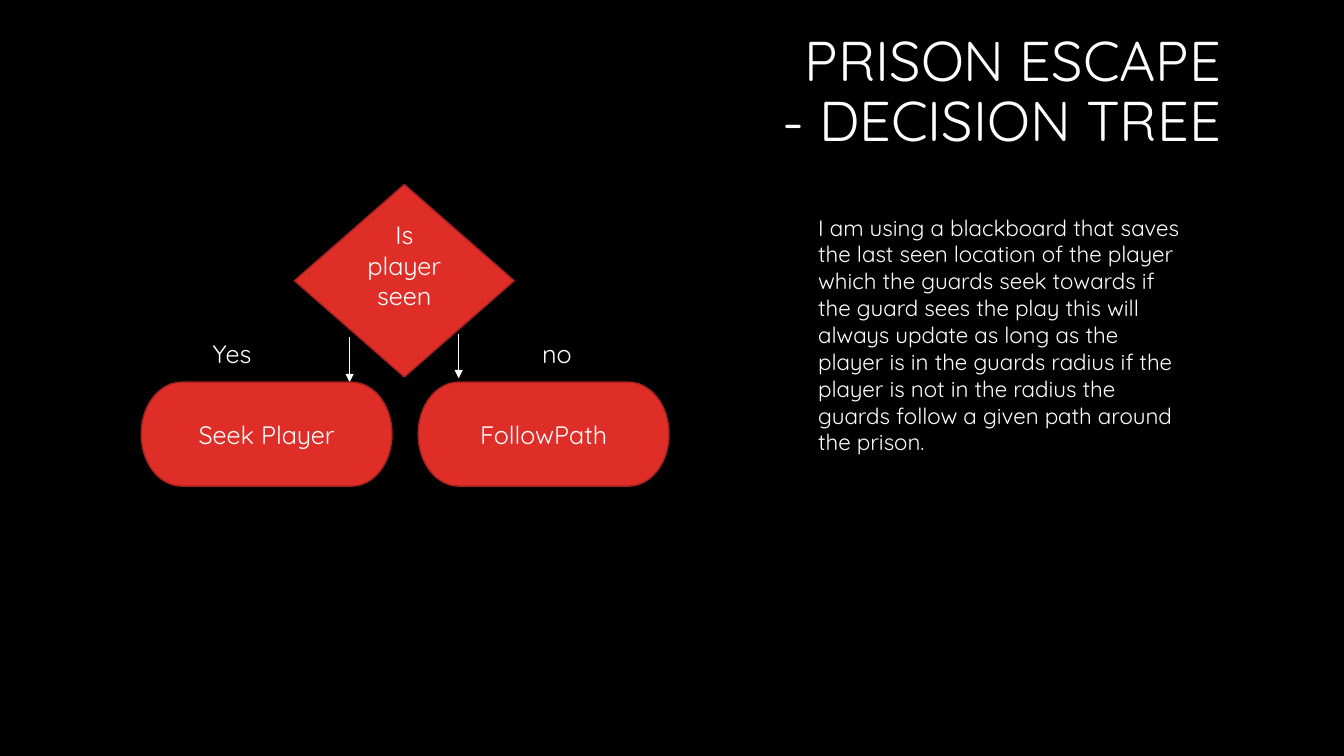
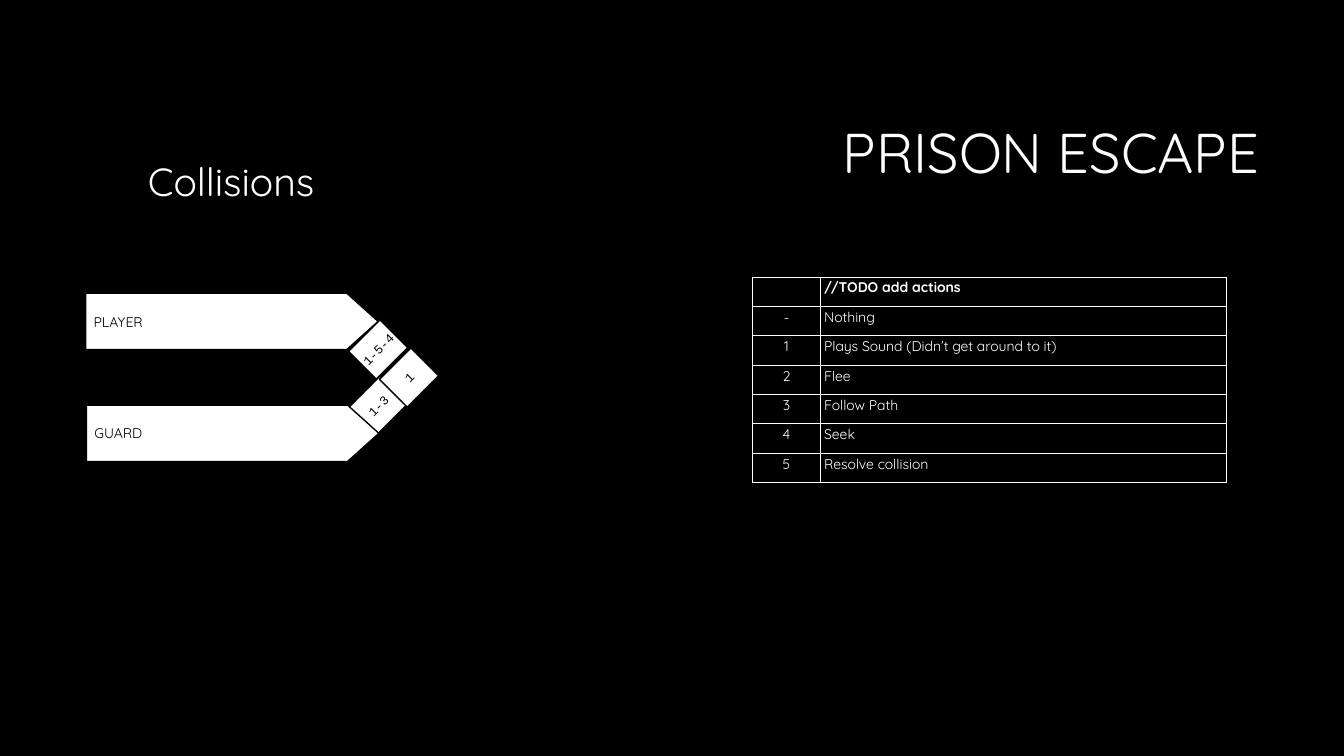
import pptx
import pptx.util
import pptx.dml.color
import pptx.enum.shapes
import pptx.enum.text
import pptx.oxml.ns
from dataclasses import dataclass
from lxml import etree

Cm = pptx.util.Cm
Pt = pptx.util.Pt
Kind = pptx.enum.shapes.MSO_SHAPE
Align = pptx.enum.text.PP_ALIGN
Anchor = pptx.enum.text.MSO_ANCHOR
qn = pptx.oxml.ns.qn


@dataclass(frozen=True)
class Theme:
    black: str = "000000"
    white: str = "FFFFFF"
    red: str = "DF2E28"
    edge: str = "A5221E"
    font: str = "Quicksand"
    mono: str = "Courier New"
    title: int = 40
    head: int = 28
    node: int = 18
    body: int = 16
    small: int = 10
    tiny: int = 9
    thin: float = 0.75
    line: float = 1


def color(code):
    return pptx.dml.color.RGBColor.from_string(code)


class Deck:
    def __init__(self, theme):
        self.theme = theme
        self.show = pptx.Presentation()
        self.show.slide_width = Cm(33.87)
        self.show.slide_height = Cm(19.05)
        self.slide = None

    def start(self):
        self.slide = self.show.slides.add_slide(self.show.slide_layouts[6])
        fill = self.slide.background.fill
        fill.solid()
        fill.fore_color.rgb = color(self.theme.black)

    def label(self, frame, words, size, tint=None, font=None, align=Align.LEFT, bold=False):
        frame.text = words
        for para in frame.paragraphs:
            para.alignment = align
            for run in para.runs:
                run.font.size = Pt(size)
                run.font.name = font or self.theme.font
                run.font.bold = bold
                run.font.color.rgb = color(tint or self.theme.white)

    def inset(self, frame, left, top, right, low):
        frame.margin_left, frame.margin_top = Cm(left), Cm(top)
        frame.margin_right, frame.margin_bottom = Cm(right), Cm(low)

    def text(self, words, x, y, w, h, size, align=Align.LEFT):
        frame = self.slide.shapes.add_textbox(Cm(x), Cm(y), Cm(w), Cm(h)).text_frame
        frame.word_wrap = True
        self.label(frame, words, size, align=align)
        return frame

    def title(self, words, x, y):
        frame = self.text(words, x, y, 23.93, 3.58, self.theme.title, Align.RIGHT)
        frame.vertical_anchor = Anchor.MIDDLE
        frame.paragraphs[0].line_spacing = 0.9

    def paint(self, shape, fill, edge):
        shape.shadow.inherit = False
        shape.fill.solid()
        shape.fill.fore_color.rgb = color(fill)
        shape.line.color.rgb = color(edge)
        shape.line.width = Pt(self.theme.line)
        shape.text_frame.word_wrap = True
        shape.text_frame.vertical_anchor = Anchor.MIDDLE

    def node(self, kind, words, x, y, w, h, low=0.13):
        shape = self.slide.shapes.add_shape(kind, Cm(x), Cm(y), Cm(w), Cm(h))
        self.paint(shape, self.theme.red, self.theme.edge)
        shape.text_frame.margin_bottom = Cm(low)
        self.label(shape.text_frame, words, self.theme.node, align=Align.CENTER)

    def arrow(self, x, top, end):
        line = self.slide.shapes.add_connector(
            pptx.enum.shapes.MSO_CONNECTOR.STRAIGHT, Cm(x), Cm(top), Cm(x), Cm(end))
        line.line.color.rgb = color(self.theme.white)
        line.line.width = Pt(self.theme.thin)
        props = line._element.spPr
        etree.SubElement(props.find(qn("a:ln")), qn("a:tailEnd"), type="triangle")
        etree.SubElement(props, qn("a:effectLst"))

    def tile(self, words, x, y):
        shape = self.slide.shapes.add_shape(Kind.RECTANGLE, Cm(x), Cm(y), Cm(1.12), Cm(0.99))
        shape.rotation = 315
        self.paint(shape, self.theme.white, self.theme.black)
        self.inset(shape.text_frame, 0, 0, 0, 0)
        self.label(shape.text_frame, words, self.theme.tiny, self.theme.black,
                   self.theme.mono, Align.CENTER)

    def bar(self, words, x, y):
        wide, neck, high = 7.37, 6.58, 1.42
        form = self.slide.shapes.build_freeform(Cm(x), Cm(y))
        spots = [(neck, 0), (wide, high / 2), (neck, high), (0, high)]
        form.add_line_segments([(Cm(x + dx), Cm(y + dy)) for dx, dy in spots])
        shape = form.convert_to_shape()
        self.paint(shape, self.theme.white, self.theme.black)
        self.inset(shape.text_frame, 0.2, 0.13, 0.25, 0.13)
        self.label(shape.text_frame, words, self.theme.small, self.theme.black)

    def border(self, cell):
        props = cell._tc.get_or_add_tcPr()
        for side in ("lnL", "lnR", "lnT", "lnB"):
            line = etree.SubElement(props, qn("a:" + side), w=str(int(Pt(self.theme.thin))))
            fill = etree.SubElement(line, qn("a:solidFill"))
            etree.SubElement(fill, qn("a:srgbClr"), val=self.theme.white)

    def table(self, rows, x, y, cols, high):
        table = self.slide.shapes.add_table(
            len(rows), len(cols), Cm(x), Cm(y), Cm(sum(cols)), Cm(high * len(rows))).table
        table.first_row = table.horz_banding = False
        for col, wide in zip(table.columns, cols):
            col.width = Cm(wide)
        for r, row in enumerate(rows):
            table.rows[r].height = Cm(high)
            for c, words in enumerate(row):
                cell = table.cell(r, c)
                self.border(cell)
                cell.fill.solid()
                cell.fill.fore_color.rgb = color(self.theme.black)
                self.inset(cell, 0.1, 0.05, 0.1, 0.05)
                self.label(cell.text_frame, words, self.theme.small, bold=r == 0,
                           align=Align.LEFT if c else Align.CENTER)
                if not words:
                    para = cell.text_frame.paragraphs[0]._p
                    etree.SubElement(para, qn("a:endParaRPr"), sz=str(self.theme.small * 100))


def tree(deck):
    theme = deck.theme
    deck.start()
    deck.title("PRISON ESCAPE\v- DECISION TREE", 7.09, 0.56)
    deck.arrow(8.81, 8.48, 9.63)
    for words, x in (("Seek Player", 3.56), ("FollowPath", 10.54)):
        deck.node(Kind.FLOWCHART_TERMINATOR, words, x, 9.63, 6.32, 2.62)
    deck.arrow(11.56, 8.41, 9.53)
    deck.node(Kind.DIAMOND, "Is player seen", 7.42, 4.65, 5.54, 4.85, low=0.92)
    for words, x in (("Yes", 5.11), ("no", 13.41)):
        deck.text(words, x, 8.41, 1.96, 1.02, theme.node)
    deck.text(
        "I am using a blackboard that saves the last seen location of the player which "
        "the guards seek towards if the guard sees the play this will always update as "
        "long as the player is in the guards radius if the player is not in the radius "
        "the guards follow a given path around the prison.",
        20.37, 5.26, 9.75, 6.4, theme.body)


def clash(deck):
    deck.start()
    deck.title("PRISON ESCAPE", 8.05, 2.13)
    for words, x, y in (("1-5-4", 8.97, 8.31), ("1-3", 8.97, 9.73), ("1", 9.75, 9.02)):
        deck.tile(words, x, y)
    deck.bar("PLAYER", 2.16, 7.39)
    deck.bar("GUARD", 2.18, 10.21)
    rows = [
        ("", "//TODO add actions"),
        ("-", "Nothing"),
        ("1", "Plays Sound (Didn’t get around to it)"),
        ("2", "Flee"),
        ("3", "Follow Path"),
        ("4", "Seek"),
        ("5", "Resolve collision"),
    ]
    deck.table(rows, 18.97, 6.98, (1.7, 10.24), 0.74)
    deck.text("Collisions", 3.48, 3.84, 5.31, 1.45, deck.theme.head)


def main():
    deck = Deck(Theme())
    tree(deck)
    clash(deck)
    deck.show.save("out.pptx")


if __name__ == "__main__":
    main()
